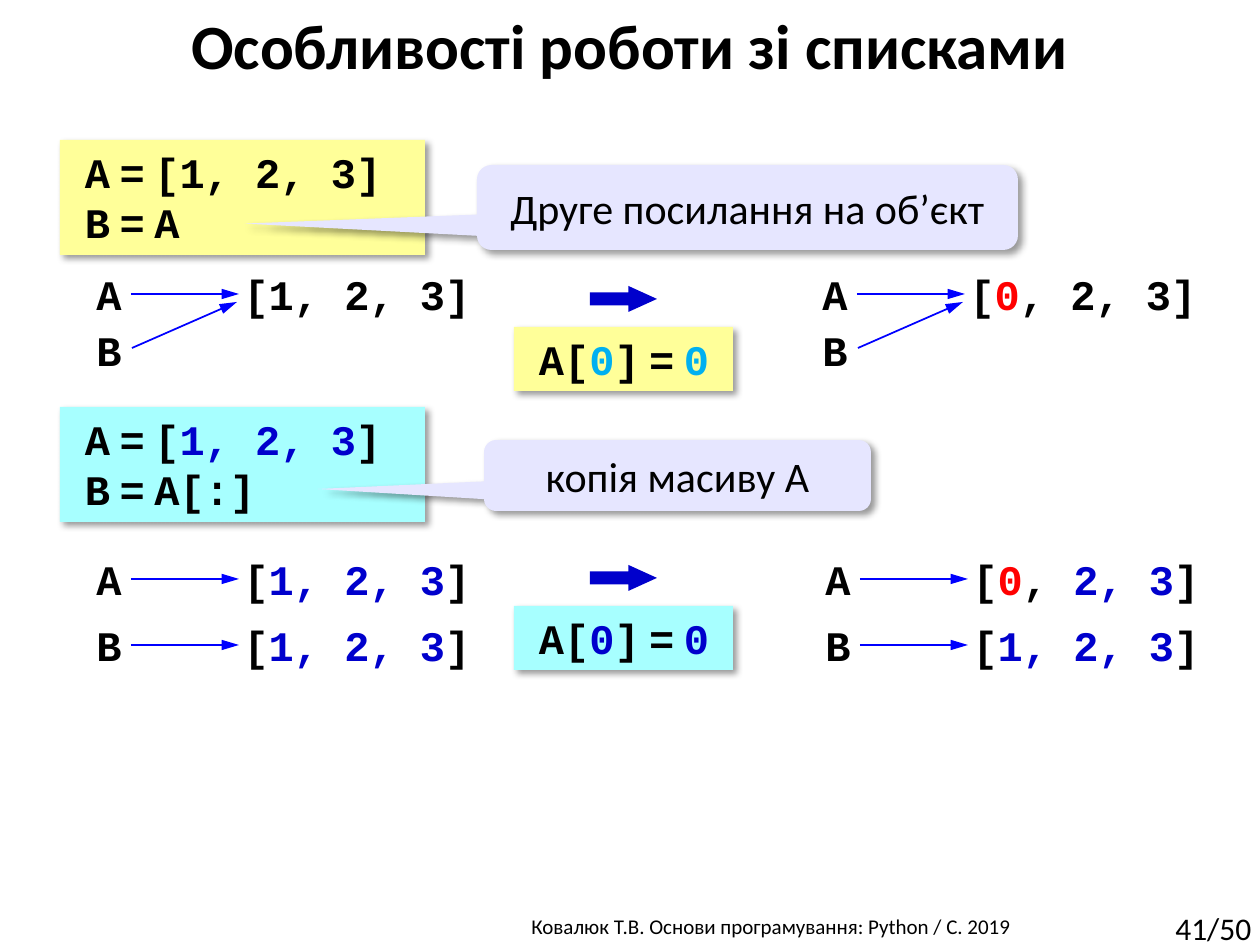
from lxml.etree import SubElement
from pptx import Presentation
from pptx.dml.color import RGBColor
from pptx.enum.shapes import MSO_CONNECTOR, MSO_SHAPE
from pptx.enum.text import MSO_ANCHOR, PP_ALIGN
from pptx.oxml.ns import qn
from pptx.util import Emu, Inches, Pt

SCALE = 914400 // 126
COLOURS = {
    "black": "000000", "yellow": "FFFF99", "cyan": "A7FFFF", "lilac": "E6E6FF",
    "navy": "0000CC", "blue": "0000FF", "sky": "00B0F0", "red": "FF0000",
}
CODE = {"name": "Courier New", "size": Pt(24), "bold": True}
PLAIN = {"name": "Calibri", "size": Pt(24), "bold": False}
TITLE = {**PLAIN, "size": Pt(36), "bold": True}
FOOTER = {**PLAIN, "size": Pt(12)}
NUMBER = {**PLAIN, "size": Pt(18)}


def px(*lengths):
    """Turn pixel lengths into EMU."""
    return [Emu(length * SCALE) for length in lengths]


def colour(name):
    """Look up a named colour."""
    return RGBColor.from_string(COLOURS[name])


class SlideBuilder:
    """Holds the slide and draws each kind of element on it."""

    def __init__(self, slide):
        """Keep the slide to draw on."""
        self.slide = slide

    def add_run(self, paragraph, text, style, ink):
        """Add one run in the given style and colour."""
        run = paragraph.add_run()
        run.text = text
        for key, value in style.items():
            setattr(run.font, key, value)
        run.font.color.rgb = colour(ink)

    def fill_text(self, shape, lines, style, align, wrap=True, anchor=MSO_ANCHOR.TOP):
        """Fill a shape with lines, each a list of (text, colour) pieces."""
        frame = shape.text_frame
        frame.word_wrap = wrap
        frame.vertical_anchor = anchor
        for index, pieces in enumerate(lines):
            paragraph = frame.add_paragraph() if index else frame.paragraphs[0]
            paragraph.alignment = align
            for text, ink in pieces:
                before, equals, after = text.partition(" = ")
                narrow = [(" ", PLAIN), ("=", style), (" ", PLAIN)] if equals else []
                for part, font in [(before, style), *narrow, (after, style)]:
                    if part:
                        self.add_run(paragraph, part, font, ink)
        return frame

    def text(self, box, pieces, style=CODE, align=PP_ALIGN.CENTER, wrap=False):
        """Add a one-line text box."""
        shape = self.slide.shapes.add_textbox(*px(*box))
        self.fill_text(shape, [pieces], style, align, wrap)

    def shape(self, kind, box, fill, shadow=True):
        """Add a filled shape without outline, with or without soft shadow."""
        shape = self.slide.shapes.add_shape(kind, *px(*box))
        shape.shadow.inherit = False
        shape.fill.solid()
        shape.fill.fore_color.rgb = colour(fill)
        shape.line.fill.background()
        if shadow:
            effects = shape._element.spPr.find(qn("a:effectLst"))
            outer = SubElement(effects, qn("a:outerShdw"), blurRad=str(Pt(4)),
                               dist=str(Pt(3)), dir="2700000", algn="tl", rotWithShape="0")
            black = SubElement(outer, qn("a:srgbClr"), val=COLOURS["black"])
            SubElement(black, qn("a:alpha"), val="40000")
        return shape

    def code_box(self, box, fill, lines):
        """Add a coloured box of code with a hanging indent."""
        shape = self.shape(MSO_SHAPE.RECTANGLE, box, fill)
        frame = self.fill_text(shape, lines, CODE, PP_ALIGN.JUSTIFY)
        for paragraph in frame.paragraphs:
            properties = paragraph._p.get_or_add_pPr()
            properties.set("marL", str(Inches(0.2)))
            properties.set("indent", str(Inches(-0.1)))

    def callout(self, box, text):
        """Add a speech bubble pointing left at the code."""
        shape = self.shape(MSO_SHAPE.ROUNDED_RECTANGULAR_CALLOUT, box, "lilac")
        for index, value in enumerate((-0.93, 0.19, 0.17)):
            shape.adjustments[index] = value
        self.fill_text(shape, [[(text, "black")]], PLAIN, PP_ALIGN.CENTER,
                       anchor=MSO_ANCHOR.MIDDLE)

    def block_arrow(self, box):
        """Add the thick arrow from one state to the next."""
        shape = self.shape(MSO_SHAPE.RIGHT_ARROW, box, "navy", shadow=False)
        shape.adjustments[1] = 1.1

    def arrow(self, *ends):
        """Add a thin arrow between two points."""
        connector = self.slide.shapes.add_connector(MSO_CONNECTOR.STRAIGHT, *px(*ends))
        connector.line.color.rgb = colour("blue")
        connector.line.width = Pt(1)
        properties = connector._element.spPr
        SubElement(properties.find(qn("a:ln")), qn("a:tailEnd"),
                   type="triangle", w="med", len="lg")
        SubElement(properties, qn("a:effectLst"))

    def name(self, left, top, letter):
        """Add a variable name."""
        self.text((left, top, 50, 64), [(letter, "black")])

    def reference(self, left, top, letter, pieces):
        """Add a variable name, its arrow and the list it refers to."""
        self.name(left, top, letter)
        self.arrow(left + 47, top + 32, left + 155, top + 32)
        self.text((left + 146, top, 254, 64), pieces)


presentation = Presentation()
presentation.slide_width, presentation.slide_height = px(1260, 945)
builder = SlideBuilder(presentation.slides.add_slide(presentation.slide_layouts[6]))

builder.text((415, 907, 717, 38), [("Ковалюк Т.В. Основи програмування: Python / C. 2019 ", "black")],
             FOOTER, wrap=True)
builder.text((1163, 903, 107, 50), [("41/50", "black")], NUMBER, PP_ALIGN.LEFT)
builder.text((0, 0, 1260, 89), [("Особливості роботи зі списками", "black")], TITLE, wrap=True)

plain_list = [("[1, 2, 3]", "black")]
blue_list = [("[", "black"), ("1, 2, 3", "navy"), ("]", "black")]
changed_list = [("[", "black"), ("0", "red"), (", 2, 3]", "black")]
changed_blue_list = [("[", "black"), ("0", "red"), (", ", "black"), ("2, 3", "navy"), ("]", "black")]

examples = [
    (140, "yellow", "sky", [("A = ", "black"), *plain_list], "B = A", 286),
    (407, "cyan", "navy", [("A = ", "black"), *blue_list], "B = A[:]", 565),
]
for top, fill, digit, first_line, second_line, arrow_top in examples:
    builder.code_box((60, top, 365, 115), fill, [first_line, [(second_line, "black")]])
    builder.block_arrow((590, arrow_top, 67, 26))
    builder.code_box((514, arrow_top + 41, 219, 64), fill,
                     [[("A[", "black"), ("0", digit), ("] = ", "black"), ("0", digit)]])

for left, pieces in ((84, plain_list), (810, changed_list)):
    builder.reference(left, 262, "A", pieces)
    builder.name(left, 318, "B")
    builder.arrow(left + 48, 348, left + 153, 302)

for left, pieces in ((84, blue_list), (813, changed_blue_list)):
    builder.reference(left, 547, "A", pieces)
    builder.reference(left, 613, "B", blue_list)

builder.callout((477, 165, 541, 85), "Друге посилання на об’єкт")
builder.callout((484, 440, 387, 71), "копія масиву A")

presentation.save("out.pptx")
